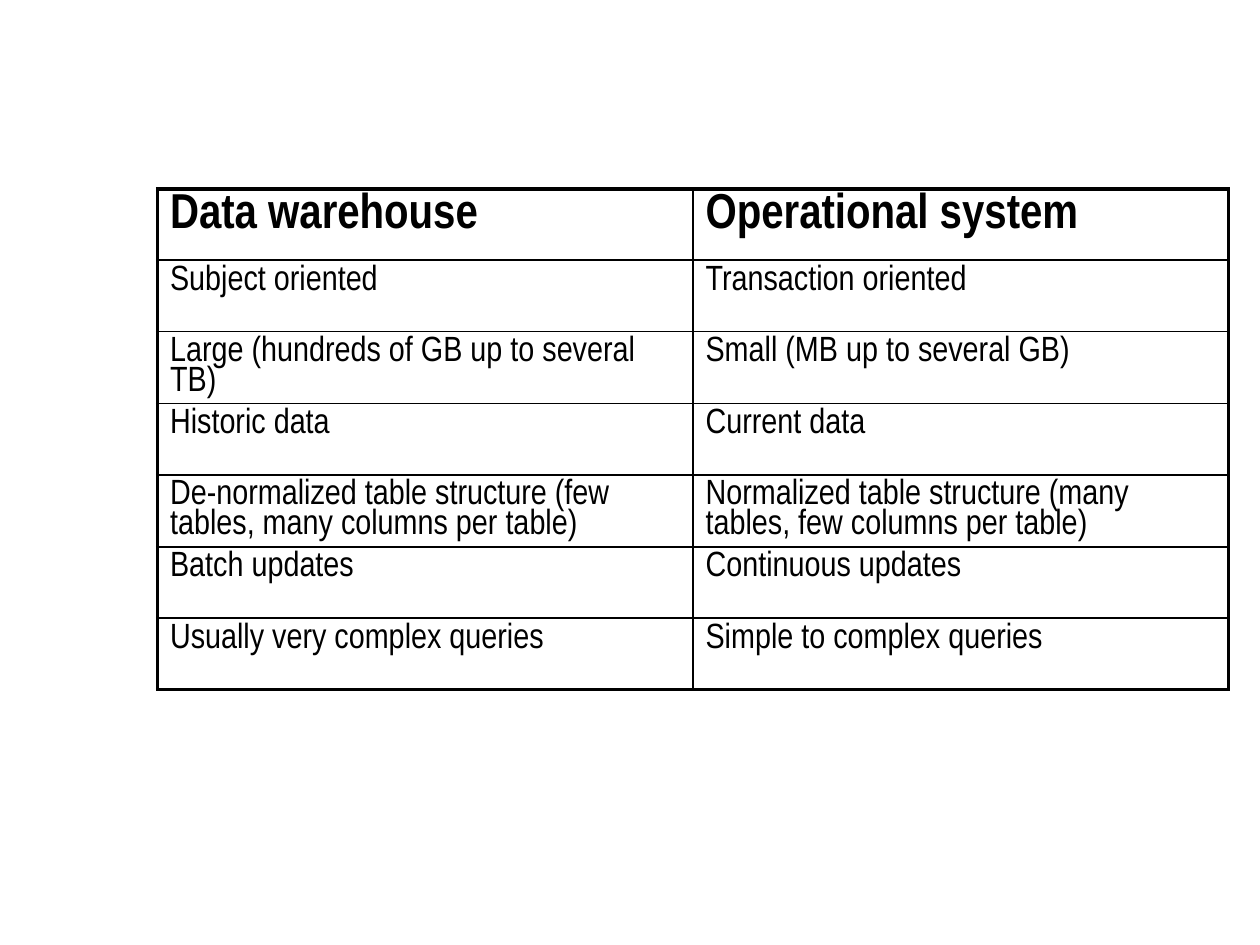
from lxml.etree import SubElement
from pptx import Presentation
from pptx.dml.color import RGBColor
from pptx.oxml.ns import qn
from pptx.util import Inches, Pt

BLACK = "000000"
FONT = "Arial Narrow"
OUTER, INNER = 2.25, 1
ROWS = [
    ("Data warehouse", "Operational system"),
    ("Subject oriented", "Transaction oriented"),
    ("Large (hundreds of GB up to several TB)", "Small (MB up to several GB)"),
    ("Historic data", "Current data"),
    ("De-normalized table structure (few tables, many columns per table)",
     "Normalized table structure (many tables, few columns per table)"),
    ("Batch updates", "Continuous updates"),
    ("Usually very complex queries", "Simple to complex queries"),
]


def color(hex_value):
    return RGBColor.from_string(hex_value)


def set_borders(cell, widths):
    """Draw left, right, top and bottom borders, widths in points."""
    properties = cell._tc.get_or_add_tcPr()
    for position, (side, width) in enumerate(zip("LRTB", widths)):
        line = SubElement(properties, qn(f"a:ln{side}"), w=str(Pt(width)))
        fill = SubElement(line, qn("a:solidFill"))
        SubElement(fill, qn("a:srgbClr"), val=BLACK)
        properties.insert(position, line)


def write_cell(cell, text, size, bold):
    cell.fill.background()
    cell.text = text
    para = cell.text_frame.paragraphs[0]
    para.line_spacing = 0.9
    space = SubElement(para._p.get_or_add_pPr(), qn("a:spcBef"))
    SubElement(space, qn("a:spcPct"), val="15000")
    font = para.font
    font.name, font.size, font.bold = FONT, Pt(size), bold
    font.color.rgb = color(BLACK)


def add_comparison(page, deck):
    row_count, column_count = len(ROWS), len(ROWS[0])
    frame = page.shapes.add_table(
        row_count, column_count,
        int(deck.slide_width * 0.125), int(deck.slide_height * 0.2),
        int(deck.slide_width * 0.85), Inches(3.96))
    table = frame.table
    table.first_row = table.horz_banding = False
    for row, texts in enumerate(ROWS):
        header = row == 0
        for column, text in enumerate(texts):
            cell = table.cell(row, column)
            write_cell(cell, text, 28 if header else 20, header)
            on_edge = (column == 0, column == column_count - 1,
                       header, row == row_count - 1)
            set_borders(cell, [OUTER if edge else INNER for edge in on_edge])


def main():
    deck = Presentation()
    deck.slide_width, deck.slide_height = Inches(10), Inches(7.5)
    page = deck.slides.add_slide(deck.slide_layouts[6])
    add_comparison(page, deck)
    deck.save("out.pptx")


if __name__ == "__main__":
    main()
